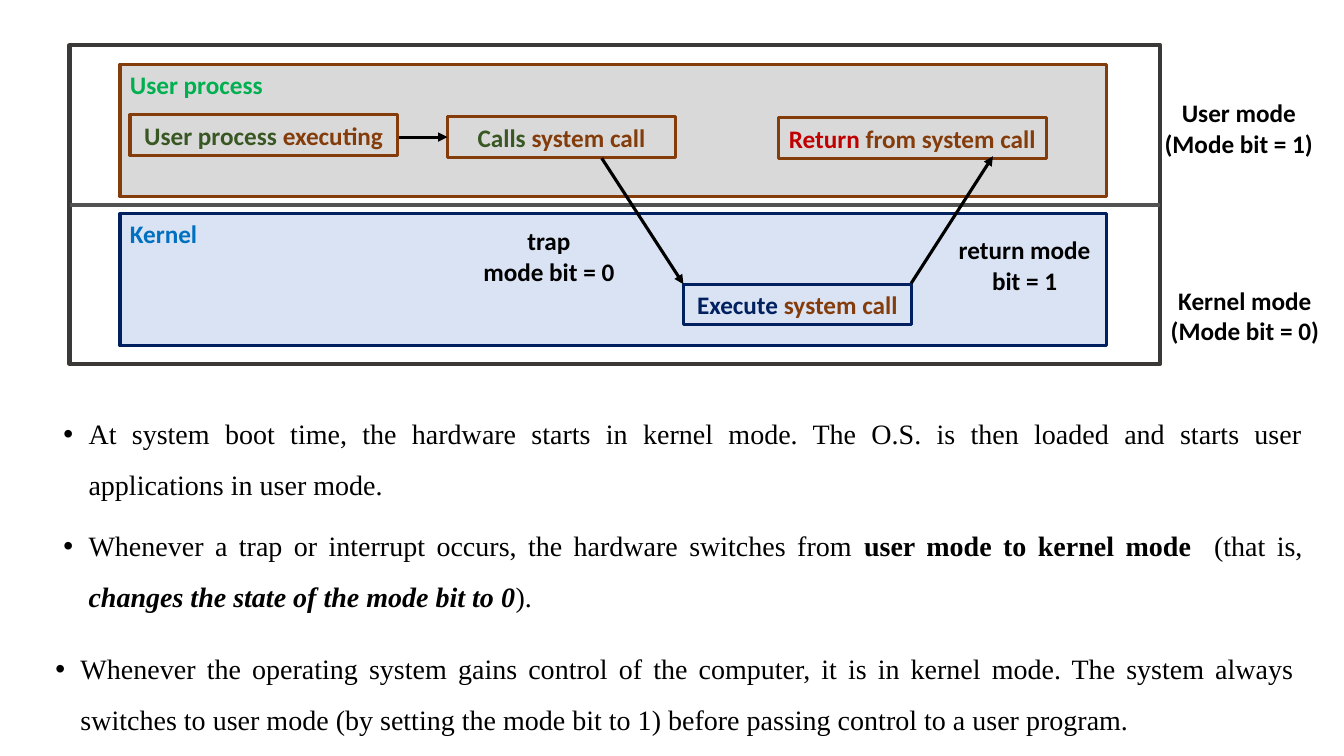
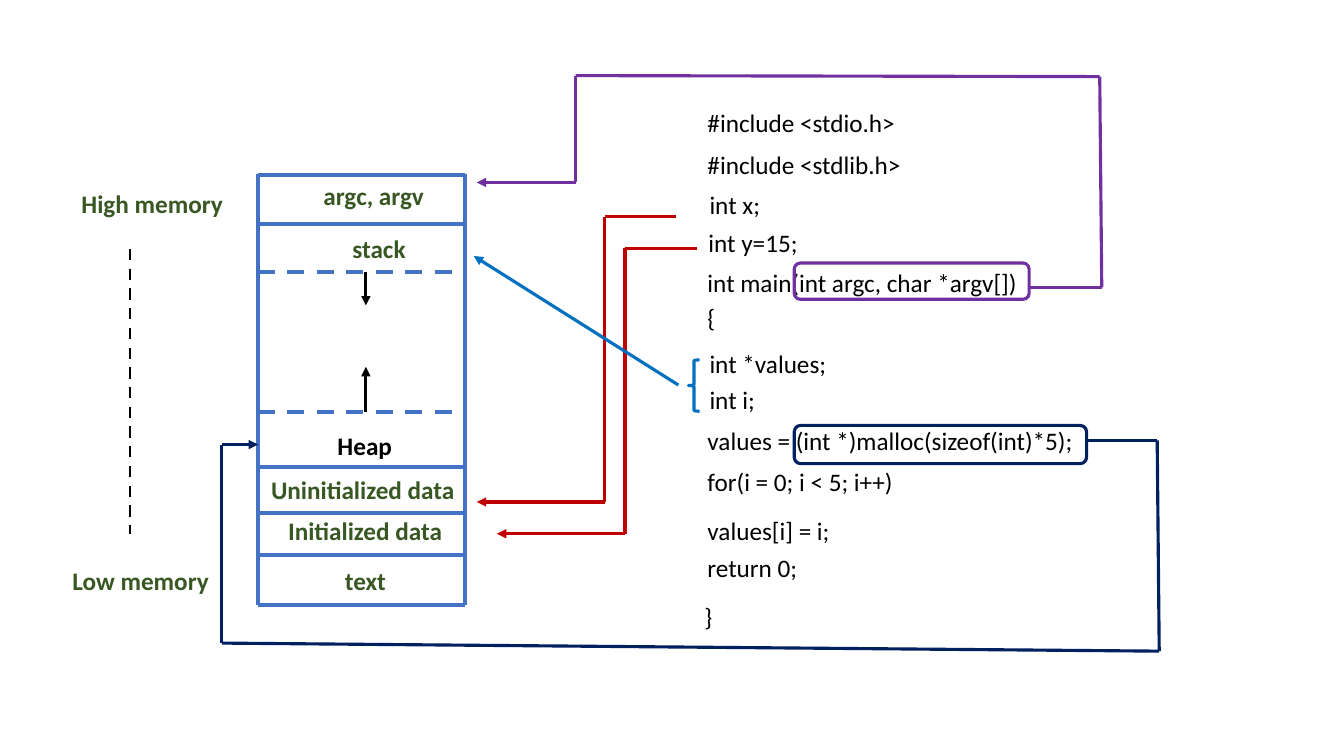
"""Two slides: the dual-mode system call diagram and a program's memory layout."""
from dataclasses import dataclass
from itertools import pairwise

from lxml import etree
from pptx import Presentation
from pptx.dml.color import RGBColor
from pptx.enum import dml, shapes, text
from pptx.oxml import ns
from pptx.util import Inches, Pt

# The slide is a grid of square cells, ten to the inch.
COLUMNS, ROWS, CELL = 133.33, 75, 0.1
COLORS = {
    "black": "000000", "navy": "002060", "blue": "0070C0", "green": "00B050",
    "forest": "385723", "brown": "843C0B", "red": "C00000", "purple": "7030A0",
    "frame": "3B3838", "divider": "525252", "memory": "4472C4",
    "user_band": "D9D9D9", "kernel_band": "DAE3F3",
}
LABEL_FONT, BODY_FONT = "Calibri", "Times New Roman"
LABEL_SIZE, BODY_SIZE = 18, 20
THIN, THICK = 2.25, 3
LINE_HEIGHT, PAIR_HEIGHT = 4, 7.1
SHAPE = shapes.MSO_SHAPE
CENTER, LEFT = text.PP_ALIGN.CENTER, text.PP_ALIGN.LEFT


@dataclass
class Box:
    """An area of the slide, in grid cells."""
    left: float
    top: float
    width: float
    height: float

    def inner(self, x, y, width, height):
        """Return a box placed relative to this one."""
        return Box(self.left + x, self.top + y, width, height)

    def point(self, x, y):
        """Return a point placed relative to this box."""
        return self.left + x, self.top + y

    def lengths(self):
        """Return the four lengths that python-pptx expects."""
        return [cells(n) for n in (self.left, self.top, self.width, self.height)]


def cells(count):
    """Convert grid cells to a slide length."""
    return Inches(count * CELL)


def rgb(name):
    """Look up a named colour."""
    return RGBColor.from_string(COLORS[name])


def add_span(para, words, color="black", font=LABEL_FONT, size=LABEL_SIZE,
             bold=False, italic=False):
    """Append one formatted run to a paragraph."""
    span = para.add_run()
    span.text = words
    span.font.name, span.font.size = font, Pt(size)
    span.font.bold, span.font.italic = bold, italic
    span.font.color.rgb = rgb(color)


def add_label(page, box, words, color="black", bold=True, align=LEFT):
    """Add a text box with one paragraph per line of words."""
    frame = page.shapes.add_textbox(*box.lengths()).text_frame
    frame.word_wrap = True
    for index, line in enumerate(words.split("\n")):
        para = frame.add_paragraph() if index else frame.paragraphs[0]
        para.alignment = align
        add_span(para, line, color, bold=bold)


def add_outline(page, box, color, kind=SHAPE.RECTANGLE, fill=None, width=THIN):
    """Add an outlined preset shape, filled only when asked."""
    shape = page.shapes.add_shape(kind, *box.lengths())
    shape.shadow.inherit = False
    shape.line.color.rgb, shape.line.width = rgb(color), Pt(width)
    if fill:
        shape.fill.solid()
        shape.fill.fore_color.rgb = rgb(fill)
    else:
        shape.fill.background()
    return shape


def add_titled_shape(page, box, spans, color, fill=None, align=CENTER):
    """Add a rectangle with bold coloured spans at its top."""
    frame = add_outline(page, box, color, fill=fill).text_frame
    frame.word_wrap = align == LEFT
    frame.vertical_anchor = text.MSO_ANCHOR.TOP
    para = frame.paragraphs[0]
    para.alignment = align
    for words, span_color in spans:
        add_span(para, words, span_color, bold=True)


def add_line(page, start, end, color="black", width=THIN, dashed=False, arrow=False):
    """Draw a straight line, with an arrowhead at its end when asked."""
    line = page.shapes.add_connector(
        shapes.MSO_CONNECTOR.STRAIGHT, *[cells(n) for n in (*start, *end)])
    line.line.color.rgb, line.line.width = rgb(color), Pt(width)
    if dashed:
        line.line.dash_style = dml.MSO_LINE.DASH
    properties = line._element.spPr
    if arrow:
        head = etree.SubElement(properties.find(ns.qn("a:ln")), ns.qn("a:tailEnd"))
        head.set("type", "triangle")
    etree.SubElement(properties, ns.qn("a:effectLst"))


def add_route(page, points, color):
    """Draw a bent arrow through a list of points."""
    for start, end in pairwise(points):
        add_line(page, start, end, color, arrow=end == points[-1])


def add_bullet(page, box, spans):
    """Add a justified bullet made of (words, bold, italic) spans."""
    frame = page.shapes.add_textbox(*box.lengths()).text_frame
    frame.word_wrap = True
    para = frame.paragraphs[0]
    para.alignment, para.line_spacing = text.PP_ALIGN.JUSTIFY, 1.5
    properties = para._p.get_or_add_pPr()
    properties.set("marL", str(Inches(0.25)))
    properties.set("indent", str(-Inches(0.25)))
    etree.SubElement(properties, ns.qn("a:buFont")).set("typeface", "Arial")
    etree.SubElement(properties, ns.qn("a:buChar")).set("char", "•")
    for words, bold, italic in spans:
        add_span(para, words, font=BODY_FONT, size=BODY_SIZE, bold=bold, italic=italic)


def draw_modes(page, box):
    """Draw the user and kernel bands, the call steps and their labels."""
    bands = [("Kernel", "blue", "navy", "kernel_band", 16.7),
             ("User process", "green", "brown", "user_band", 1.9)]
    for title, title_color, color, fill, top in bands:
        add_titled_shape(page, box.inner(5, top, 97.9, 13.1),
                         [(title, title_color)], color, fill, LEFT)
    add_outline(page, box, "frame", width=THICK)
    middle = box.height / 2
    add_line(page, box.point(0, middle), box.point(box.width, middle), "divider", THICK)

    steps = [("User process ", "executing", "forest", "brown", 6, 6.9, 26.5),
             ("Calls", " system call", "forest", "brown", 37.5, 7.1, 22.6),
             ("Return", " from system call", "red", "brown", 70.3, 7.2, 26.6),
             ("Execute ", "system call", "navy", "navy", 60.9, 23.7, 22.6)]
    for lead, rest, lead_color, color, left, top, width in steps:
        add_titled_shape(page, box.inner(left, top, width, LINE_HEIGHT),
                         [(lead, lead_color), (rest, "brown")], color)

    arrows = [(32.7, 9.1, 37.5, 9.1), (52.8, 11.2, 60.9, 23.7), (83.5, 23.6, 91.6, 11)]
    for x1, y1, x2, y2 in arrows:
        add_line(page, box.point(x1, y1), box.point(x2, y2), arrow=True)

    labels = [("User mode\n(Mode bit = 1)", 107, 4.7, 18),
              ("Kernel mode\n(Mode bit = 0)", 107.8, 23.3, 17.6),
              ("trap\nmode bit = 0", 38.3, 17.4, 18.5),
              ("return mode bit = 1", 86.6, 18.3, 16.3)]
    for words, left, top, width in labels:
        add_label(page, box.inner(left, top, width, PAIR_HEIGHT), words, align=CENTER)


def draw_notes(page, box):
    """Write the three bullets about switching modes."""
    add_bullet(page, box.inner(0.8, 0, box.width, 12.2), [
        ("At system boot time, the hardware starts in kernel mode. The O.S. is then "
         "loaded and starts user applications in user mode.", False, False)])
    add_bullet(page, box.inner(0.8, 11.1, box.width, 11.8), [
        ("Whenever a trap or interrupt occurs, the hardware switches from ", False, False),
        ("user mode to kernel mode  ", True, False),
        ("(that is, ", False, False),
        ("changes the state of the mode bit to 0", True, True),
        (").", False, False)])
    add_bullet(page, box.inner(0, 23.3, box.width, 10.8), [
        ("Whenever the operating system gains control of the computer, it is in kernel "
         "mode. The system always switches to user mode (by setting the mode bit to 1) "
         "before passing control to a user program.", False, False)])


def draw_scale(page, box):
    """Mark the high and low ends of memory beside the column."""
    for words, left, top in [("High memory", 0.9, 0.9), ("Low memory", 0, 38.3)]:
        add_label(page, box.inner(left, top, 17.3, LINE_HEIGHT), words, "forest")
    add_line(page, box.point(6.7, 7.4), box.point(6.7, 35.7), width=2, dashed=True)


def draw_memory(page, box):
    """Draw the memory column with its segments and growth arrows."""
    segments = [("argc, argv", "forest", LEFT, 5.5, 0.1, 13.9),
                ("stack", "forest", CENTER, 5.3, 5.4, 13.4),
                ("Heap", "black", LEFT, 6.9, 24.9, 11.3),
                ("Uninitialized data", "forest", LEFT, 0.3, 29.3, 20.5),
                ("Initialized data", "forest", LEFT, 2, 33.3, 17.3),
                ("text", "forest", CENTER, 0.3, 38.3, 20.7)]
    for words, color, align, left, top, width in segments:
        add_label(page, box.inner(left, top, width, LINE_HEIGHT), words, color, align=align)
    for side in (0, box.width):
        add_line(page, box.point(side, 0), box.point(side, box.height), "memory", THICK)
    stack_end, heap_end = 9.7, 23.6
    for level in (0.1, 4.9, stack_end, heap_end, 29, 33.6, 37.8, box.height):
        add_line(page, box.point(0, level), box.point(box.width, level), "memory",
                 THICK, dashed=level in (stack_end, heap_end))
    for start, end in [(stack_end, 13), (heap_end, 19.1)]:
        add_line(page, box.point(10.7, start), box.point(10.7, end), arrow=True)


def draw_code(page, box):
    """Write the program and mark the parts that are traced to memory."""
    lines = [("#include <stdio.h>", 0, 0), ("#include <stdlib.h>", 0, 4.1),
             ("int x;", 0.2, 8.1), ("int y=15;", 0.1, 11.9),
             ("int main(int argc, char *argv[])", 0, 15.8), ("{", 0, 19.3),
             ("int *values;", 0.2, 23.9), ("int i;", 0.2, 27.4),
             ("values = (int *)malloc(sizeof(int)*5);", 0, 31.5),
             ("for(i = 0; i < 5; i++)", 0, 35.6), ("values[i] = i;", 0, 40.4),
             ("return 0;", 0, 44.1), ("}", -0.3, 49)]
    for words, indent, top in lines:
        add_label(page, box.inner(indent, top, box.width, LINE_HEIGHT), words, bold=False)
    marks = [("purple", SHAPE.ROUNDED_RECTANGLE, 9.6, 15.9, 23.3, 3.6),
             ("navy", SHAPE.ROUNDED_RECTANGLE, 9.6, 32, 29, 3.8),
             ("blue", SHAPE.LEFT_BRACE, -0.9, 25.5, 1.1, 5.1)]
    for color, kind, left, top, width, height in marks:
        add_outline(page, box.inner(left, top, width, height), color, kind)


def draw_routes(page, box):
    """Trace each marked part of the program to its memory segment."""
    for left, top in [(0, 0), (2, 3.15)]:
        data = box.inner(60 + left, 21.5 + top, 7.1, 28.3)
        add_route(page, [data.point(data.width, 0), data.point(0, 0),
                         data.point(0, data.height), data.point(-12.7, data.height)], "red")
    routes = {
        "purple": [(102.2, 28.5), (109.3, 28.5), (109.1, 7.6), (57.1, 7.5),
                   (57.1, 18.1), (47.3, 18.1)],
        "navy": [(107.7, 43.7), (114.8, 43.7), (115, 64.6), (22, 63.8),
                 (22, 44.1), (25.6, 44.1)],
        "blue": [(67.3, 38.2), (47, 25.4)],
    }
    for color, stops in routes.items():
        add_route(page, [box.point(*stop) for stop in stops], color)


def build_mode_slide(page):
    """Lay out the system call diagram above its notes."""
    draw_modes(page, Box(6.9, 4.5, 108.2, 31.6))
    draw_notes(page, Box(4.5, 39.2, 124.9, 34.1))


def build_memory_slide(page):
    """Lay out the memory column, the program and the routes between them."""
    draw_scale(page, Box(6.2, 17.3, 18.2, 42.7))
    draw_memory(page, Box(25.6, 17.3, 20.5, 42.7))
    draw_code(page, Box(69.2, 10.2, 38.5, 53))
    draw_routes(page, Box(0, 0, COLUMNS, ROWS))


def main():
    """Build and save the deck."""
    deck = Presentation()
    deck.slide_width, deck.slide_height = cells(COLUMNS), cells(ROWS)
    blank = deck.slide_layouts[6]
    for build in (build_mode_slide, build_memory_slide):
        build(deck.slides.add_slide(blank))
    deck.save("out.pptx")


main()
